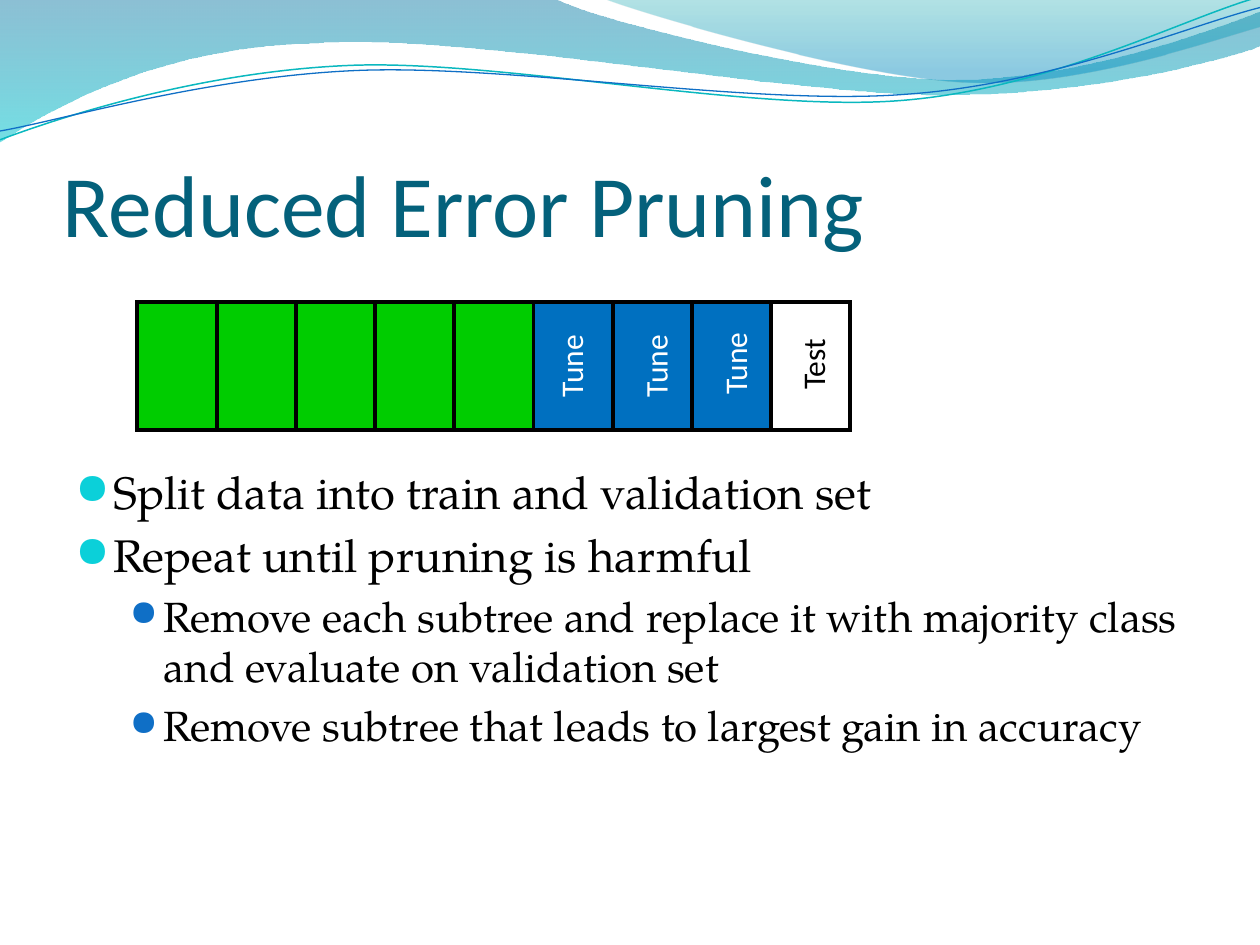
from dataclasses import dataclass

from lxml import etree
from pptx import Presentation
from pptx import util as u
from pptx.dml.color import RGBColor
from pptx.enum import shapes, text
from pptx.oxml.ns import qn


@dataclass(frozen=True)
class Theme:
    heading_font: str = "Calibri"
    body_font: str = "TeX Gyre Pagella"
    bullet_font: str = "OpenSymbol"
    title_size: float = 50
    body_sizes: tuple = (26, 24)
    label_size: float = 18
    title: str = "04617B"
    black: str = "000000"
    white: str = "FFFFFF"
    train: str = "00CC00"
    tune: str = "0070C0"
    bullet_colors: tuple = ("0BD0D9", "0F6FC6")
    bullet_scales: tuple = (95, 85)
    teal_line: str = "0AB8BF"
    blue_line: str = "0F6FC6"
    # Gradient stops: position %, colour, opacity %
    band: tuple = ((0, "0074A1", 45), (100, "00C6CF", 55))
    corner: tuple = ((0, "00A1A9", 30), (80, "008BBF", 45))


class SlideBuilder:
    def __init__(self, slide, theme):
        self.slide = slide
        self.theme = theme

    def outline(self, start, segments, closed):
        """Draw straight (x, y) and cubic (x1, y1, x2, y2, x, y) segments."""
        points = [(u.Inches(x), u.Inches(y)) for segment in segments
                  for x, y in zip(segment[::2], segment[1::2])]
        builder = self.slide.shapes.build_freeform(*map(u.Inches, start))
        builder.add_line_segments(points, close=closed)
        shape = builder.convert_to_shape()
        shape.shadow.inherit = False
        shape.fill.background()
        steps = iter(list(shape.element.iter(qn("a:lnTo"))))
        for segment in segments:
            step = next(steps)
            if len(segment) == 6:
                step.tag = qn("a:cubicBezTo")
                for _ in range(2):
                    following = next(steps)
                    step.append(following[0])
                    following.getparent().remove(following)
        return shape

    def wave_area(self, start, segments, stops):
        shape = self.outline(start, segments, closed=True)
        shape.line.fill.background()
        gradient = etree.Element(qn("a:gradFill"), rotWithShape="1")
        stop_list = etree.SubElement(gradient, qn("a:gsLst"))
        for position, color, opacity in stops:
            stop = etree.SubElement(stop_list, qn("a:gs"), pos=str(position * 1000))
            fill = etree.SubElement(stop, qn("a:srgbClr"), val=color)
            etree.SubElement(fill, qn("a:alpha"), val=str(opacity * 1000))
        etree.SubElement(gradient, qn("a:lin"), ang="5400000", scaled="0")
        properties = shape.element.spPr
        properties.replace(properties.find(qn("a:noFill")), gradient)

    def wave_line(self, start, segments, color, width):
        shape = self.outline(start, segments, closed=False)
        self.set_line(shape, color, width)

    def set_line(self, shape, color, width):
        shape.line.color.rgb = RGBColor.from_string(color)
        shape.line.width = u.Pt(width)

    def cell(self, left, top, width, height, color):
        shape = self.slide.shapes.add_shape(
            shapes.MSO_SHAPE.RECTANGLE, u.Inches(left), u.Inches(top),
            u.Inches(width), u.Inches(height))
        shape.shadow.inherit = False
        if color:
            shape.fill.solid()
            shape.fill.fore_color.rgb = RGBColor.from_string(color)
        else:
            shape.fill.background()
        self.set_line(shape, self.theme.black, 2.25)
        line = shape.element.spPr.find(qn("a:ln"))
        etree.SubElement(line, qn("a:miter"), lim="800000")

    def text_box(self, left, top, width, height):
        box = self.slide.shapes.add_textbox(
            u.Inches(left), u.Inches(top), u.Inches(width), u.Inches(height))
        box.text_frame.word_wrap = True
        return box

    def run(self, paragraph, words, font, size, color):
        run = paragraph.add_run()
        run.text = words
        run.font.name = font
        run.font.size = u.Pt(size)
        run.font.color.rgb = RGBColor.from_string(color)

    def title(self, words):
        frame = self.text_box(0.5, 0.77, 9, 1.25).text_frame
        frame.margin_left = frame.margin_right = frame.margin_bottom = 0
        frame.vertical_anchor = text.MSO_ANCHOR.BOTTOM
        self.run(frame.paragraphs[0], words, self.theme.heading_font,
                 self.theme.title_size, self.theme.title)

    def vertical_label(self, left, top, width, height, words, color):
        box = self.text_box(left, top, width, height)
        box.rotation = 270
        box.text_frame.word_wrap = False
        box.text_frame.auto_size = text.MSO_AUTO_SIZE.SHAPE_TO_FIT_TEXT
        self.run(box.text_frame.paragraphs[0], words, self.theme.heading_font,
                 self.theme.label_size, color)

    def bullets(self, items):
        frame = self.text_box(0.5, 3.63, 9, 3.29).text_frame
        for index, (level, words) in enumerate(items):
            paragraph = frame.add_paragraph() if index else frame.paragraphs[0]
            paragraph.level = level
            paragraph.space_before = u.Pt(5)
            self.bullet(paragraph, level)
            self.run(paragraph, words, self.theme.body_font,
                     self.theme.body_sizes[level], self.theme.black)

    def bullet(self, paragraph, level):
        margin, indent = ((0.3, -0.3), (0.7, -0.27))[level]
        properties = paragraph._p.get_or_add_pPr()
        properties.set("marL", str(u.Inches(margin)))
        properties.set("indent", str(u.Inches(indent)))
        color = etree.SubElement(properties, qn("a:buClr"))
        etree.SubElement(color, qn("a:srgbClr"), val=self.theme.bullet_colors[level])
        etree.SubElement(properties, qn("a:buSzPct"),
                         val=str(self.theme.bullet_scales[level] * 1000))
        etree.SubElement(properties, qn("a:buFont"), typeface=self.theme.bullet_font)
        etree.SubElement(properties, qn("a:buChar"), char="●")


def draw_waves(builder, theme):
    builder.wave_area((0, 0), [
        (4.4, -0.01), (4.76, 0.17, 6.64, 0.63, 7.58, 0.63),
        (8.53, 0.63, 9.58, 0.26, 10, 0.09), (10.01, 0.36),
        (9.83, 0.44, 8.7, 0.76, 7.46, 0.75), (6.22, 0.75, 3.82, 0.28, 2.57, 0.34),
        (1.29, 0.36, 0.46, 0.83, -0.01, 1.13)], theme.band)
    builder.wave_area((4.79, -0.01), [
        (5.09, 0.11, 6.82, 0.62, 7.69, 0.65), (8.56, 0.69, 9.61, 0.32, 10, 0.21),
        (10, 0)], theme.corner)
    builder.wave_line((0, 1.11), [
        (0.48, 0.93, 1.58, 0.57, 2.77, 0.52), (3.95, 0.47, 5.93, 0.89, 7.13, 0.8),
        (8.33, 0.71, 9.38, 0.15, 9.98, -0.02)], theme.teal_line, 0.85)
    builder.wave_line((0, 1.04), [
        (0.47, 0.96, 1.64, 0.61, 2.83, 0.56), (4.03, 0.51, 5.97, 0.84, 7.17, 0.75),
        (8.36, 0.67, 9.41, 0.21, 10, 0.06)], theme.blue_line, 0.75)


def draw_data_split(builder, theme):
    colors = [theme.train] * 5 + [theme.tune] * 3 + [None]
    left, right = 1.09, 6.75
    cell_width = (right - left) / len(colors)
    for index, color in enumerate(colors):
        builder.cell(left + index * cell_width, 2.4, cell_width, 1.01, color)
    builder.vertical_label(6.03, 2.47, 0.94, 0.5, "Test", theme.black)
    for label_left, top in ((5.48, 2.68), (4.85, 2.7), (4.18, 2.7)):
        builder.vertical_label(label_left, top, 0.7, 0.4, "Tune", theme.white)


def main():
    presentation = Presentation()
    presentation.slide_width = u.Inches(10)
    presentation.slide_height = u.Inches(7.5)
    slide = presentation.slides.add_slide(presentation.slide_layouts[6])
    theme = Theme()
    builder = SlideBuilder(slide, theme)
    draw_waves(builder, theme)
    builder.title("Reduced Error Pruning")
    builder.bullets([
        (0, "Split data into train and validation set"),
        (0, "Repeat until pruning is harmful"),
        (1, "Remove each subtree and replace it with majority class "
            "and evaluate on validation set"),
        (1, "Remove subtree that leads to largest gain in accuracy"),
    ])
    draw_data_split(builder, theme)
    presentation.save("out.pptx")


if __name__ == "__main__":
    main()
